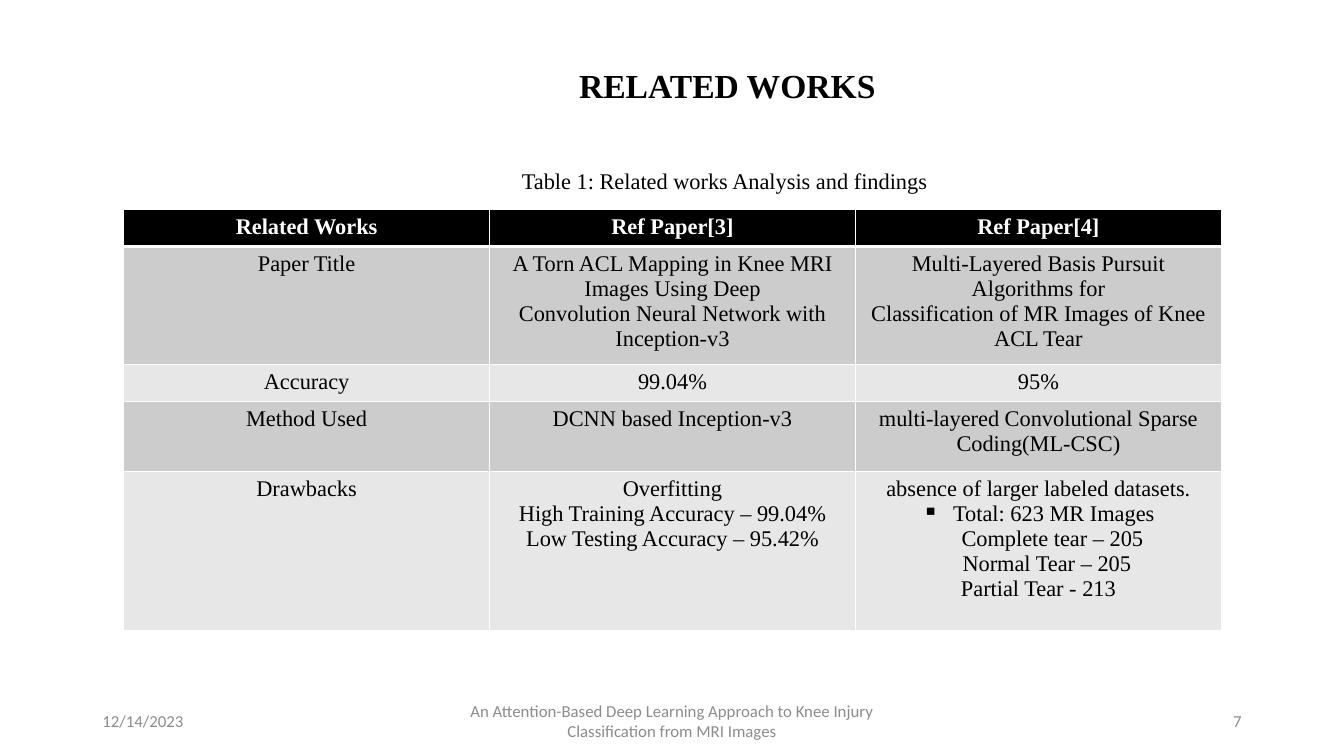
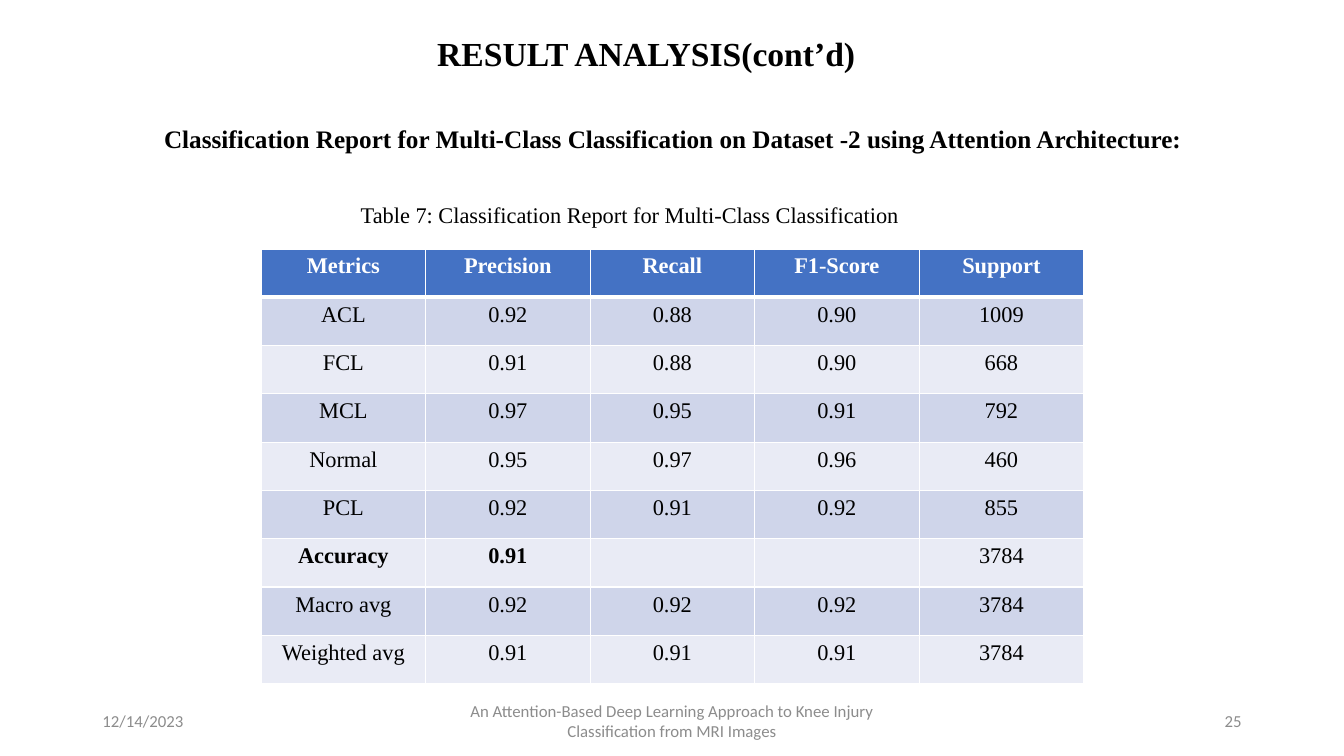
from dataclasses import dataclass

from lxml import etree
from pptx import Presentation
from pptx.dml.color import RGBColor
from pptx.enum.text import MSO_ANCHOR, PP_ALIGN
from pptx.oxml.ns import qn
from pptx.util import Inches, Pt

LEFT, CENTER, RIGHT = PP_ALIGN.LEFT, PP_ALIGN.CENTER, PP_ALIGN.RIGHT
TOP, MIDDLE = MSO_ANCHOR.TOP, MSO_ANCHOR.MIDDLE
SLIDE_W, SLIDE_H = Inches(13.333), Inches(7.5)


@dataclass(frozen=True)
class Theme:
    body_font: str = "Times New Roman"
    footer_font: str = "Calibri"
    title_size: int = 24
    heading_size: int = 18
    body_size: int = 16
    footer_size: int = 12
    ink: str = "000000"
    muted: str = "8C8C8C"
    border: str = "FFFFFF"
    header_ink: str = "FFFFFF"
    gray_table: tuple = ("000000", "CCCCCC", "E7E7E7")
    blue_table: tuple = ("4472C4", "CFD5EA", "E9EBF5")
    thin: int = 1
    thick: int = 3


@dataclass(frozen=True)
class Para:
    text: str
    indent: int = 0
    bullet: str = ""


THEME = Theme()
DATE = "12/14/2023"
TOPIC = ("An Attention-Based Deep Learning Approach to Knee Injury "
         "Classification from MRI Images")

RELATED_WORKS = [
    ["Related Works", "Ref Paper[3]", "Ref Paper[4]"],
    ["Paper Title",
     ["A Torn ACL Mapping in Knee MRI Images Using Deep",
      "Convolution Neural Network with Inception-v3"],
     ["Multi-Layered Basis Pursuit Algorithms for",
      "Classification of MR Images of Knee ACL Tear"]],
    ["Accuracy", "99.04%", "95%"],
    ["Method Used", "DCNN based Inception-v3",
     "multi-layered Convolutional Sparse Coding(ML-CSC)"],
    ["Drawbacks",
     ["Overfitting", "High Training Accuracy – 99.04%",
      "Low Testing Accuracy – 95.42%"],
     ["absence of larger labeled datasets.",
      Para("Total: 623 MR Images", 22, "▪"),
      Para("Complete tear – 205", 20),
      Para("Normal Tear – 205", 12),
      "Partial Tear - 213"]],
]

REPORT = [
    ["Metrics", "Precision", "Recall", "F1-Score", "Support"],
    ["ACL", "0.92", "0.88", "0.90", "1009"],
    ["FCL", "0.91", "0.88", "0.90", "668"],
    ["MCL", "0.97", "0.95", "0.91", "792"],
    ["Normal", "0.95", "0.97", "0.96", "460"],
    ["PCL", "0.92", "0.91", "0.92", "855"],
    ["Accuracy", "0.91", "", "", "3784"],
    ["Macro avg", "0.92", "0.92", "0.92", "3784"],
    ["Weighted avg", "0.91", "0.91", "0.91", "3784"],
]


def across(percent):
    return round(SLIDE_W * percent / 100)


def down(percent):
    return round(SLIDE_H * percent / 100)


def add_run(p, text, size, color=THEME.ink, bold=False, font=THEME.body_font):
    r = p.add_run()
    r.text = text
    r.font.name = font
    r.font.size = Pt(size)
    r.font.bold = bold
    r.font.color.rgb = RGBColor.from_string(color)


def add_text(s, box, text, size, align=CENTER, anchor=TOP, **style):
    x, y, w, h = box
    tf = s.shapes.add_textbox(across(x), down(y), across(w), down(h)).text_frame
    tf.word_wrap = True
    tf.vertical_anchor = anchor
    p = tf.paragraphs[0]
    p.alignment = align
    add_run(p, text, size, **style)


def add_title(s, x, y, w, text):
    add_text(s, (x, y, w, 6.67), text, THEME.title_size, bold=True)


def add_caption(s, x, y, w, text, align):
    add_text(s, (x, y, w, 4.93), text, THEME.body_size, align)


def add_footer(s, number):
    margin, side, middle = 6.88, 22.5, 33.75
    parts = [
        (margin, side, DATE, LEFT),
        ((100 - middle) / 2, middle, TOPIC, CENTER),
        (100 - margin - side, side, str(number), RIGHT),
    ]
    for x, w, text, align in parts:
        add_text(s, (x, 92.67, w, 5.33), text, THEME.footer_size, align, MIDDLE,
                 color=THEME.muted, font=THEME.footer_font)


def set_borders(cell, top, bottom):
    tc_pr = cell._tc.get_or_add_tcPr()
    widths = {"lnL": THEME.thin, "lnR": THEME.thin, "lnT": top, "lnB": bottom}
    for tag, width in widths.items():
        ln = etree.SubElement(tc_pr, qn("a:" + tag), w=str(Pt(width)))
        fill = etree.SubElement(ln, qn("a:solidFill"))
        etree.SubElement(fill, qn("a:srgbClr"), val=THEME.border)


def set_indent(p, para):
    p_pr = p._p.get_or_add_pPr()
    p_pr.set("marL", str(Pt(para.indent)))
    if para.bullet:
        p_pr.set("indent", str(-Pt(para.indent)))
        etree.SubElement(p_pr, qn("a:buChar"), char=para.bullet)


def fill_cell(cell, content, color, bold):
    tf = cell.text_frame
    items = content if isinstance(content, list) else [content]
    for i, item in enumerate(items):
        para = item if isinstance(item, Para) else Para(item)
        p = tf.add_paragraph() if i else tf.paragraphs[0]
        p.alignment = CENTER
        if para.indent:
            set_indent(p, para)
        if para.text:
            add_run(p, para.text, THEME.body_size, color, bold)


def add_grid(s, x, y, w, heights, rows, fills, bold_cells=()):
    n_cols = len(rows[0])
    table = s.shapes.add_table(len(rows), n_cols, across(x), down(y),
                               across(w), down(sum(heights))).table
    table.horz_banding = False
    header_fill, *bands = fills
    for col in table.columns:
        col.width = across(w / n_cols)
    for i, (row, height) in enumerate(zip(rows, heights)):
        table.rows[i].height = down(height)
        header = i == 0
        fill = header_fill if header else bands[(i - 1) % 2]
        color = THEME.header_ink if header else THEME.ink
        top = THEME.thick if i == 1 else THEME.thin
        bottom = THEME.thick if header else THEME.thin
        for j, content in enumerate(row):
            cell = table.cell(i, j)
            set_borders(cell, top, bottom)
            cell.fill.solid()
            cell.fill.fore_color.rgb = RGBColor.from_string(fill)
            fill_cell(cell, content, color, header or (i, j) in bold_cells)


def add_slide(prs, number):
    s = prs.slides.add_slide(prs.slide_layouts[6])
    add_footer(s, number)
    return s


def build_related_works(prs):
    s = add_slide(prs, 7)
    add_grid(s, 9.2, 27.73, 81.68, [4.67, 14.4, 4.67, 9.33, 21.07],
             RELATED_WORKS, THEME.gray_table)
    add_caption(s, 36.7, 21.47, 34.43,
                "Table 1: Related works Analysis and findings", CENTER)
    add_title(s, 36.38, 7.87, 35.48, "RELATED WORKS")


def build_result_analysis(prs):
    s = add_slide(prs, 25)
    add_grid(s, 19.43, 32.93, 61.2, [6.39] * len(REPORT), REPORT,
             THEME.blue_table, {(6, 0), (6, 1)})
    add_caption(s, 26.1, 26, 50.78,
                "Table 7: Classification Report for Multi-Class Classification",
                LEFT)
    add_title(s, 30.9, 3.73, 34.35, "RESULT ANALYSIS(cont’d)")
    add_text(s, (10.88, 15.6, 78.38, 5.33),
             "Classification Report for Multi-Class Classification on "
             "Dataset -2 using Attention Architecture:",
             THEME.heading_size, bold=True)


def main():
    prs = Presentation()
    prs.slide_width, prs.slide_height = SLIDE_W, SLIDE_H
    build_related_works(prs)
    build_result_analysis(prs)
    prs.save("out.pptx")


if __name__ == "__main__":
    main()
